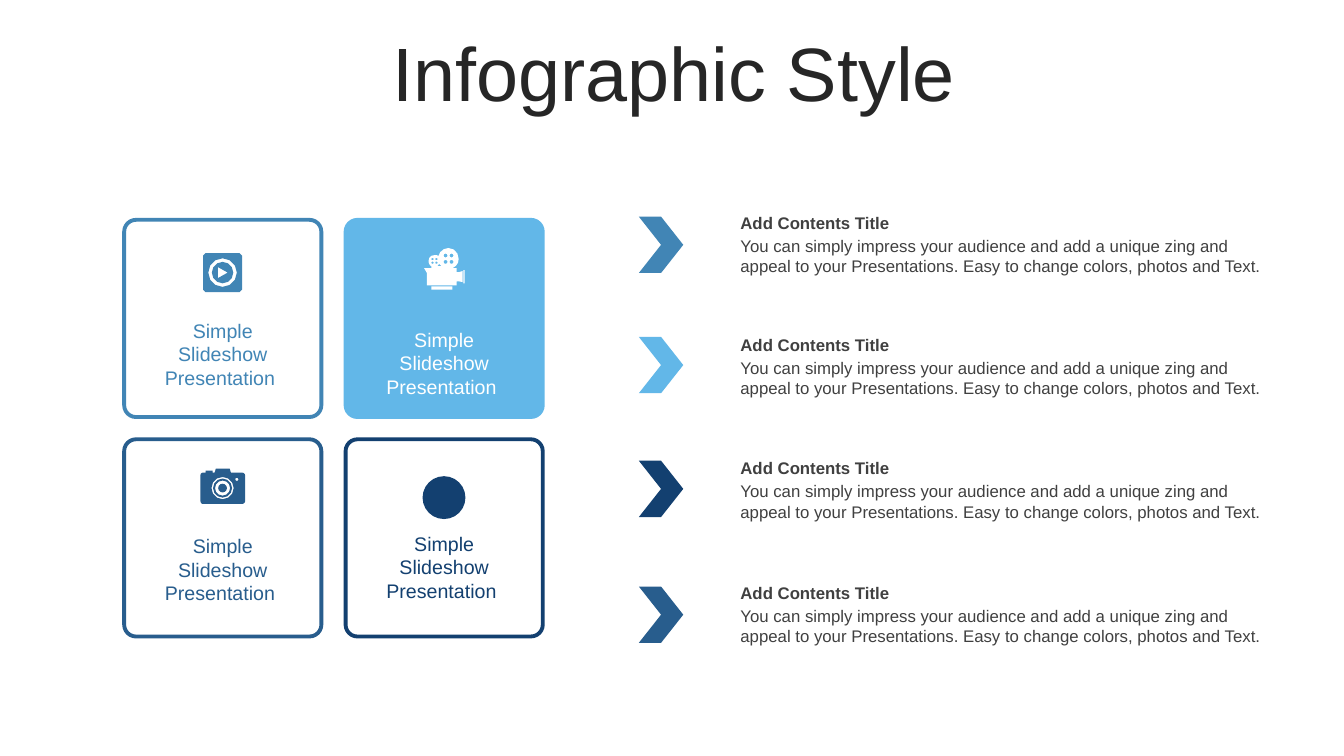
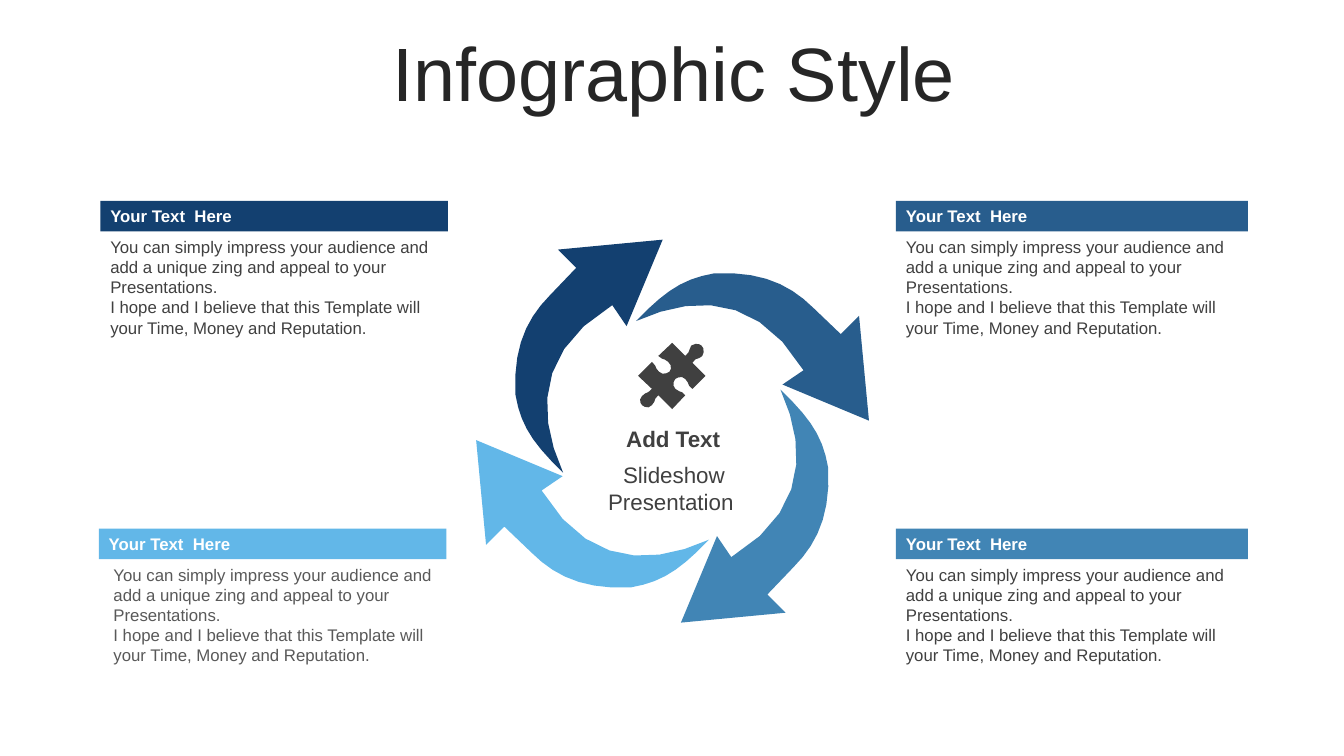
from dataclasses import dataclass
from math import cos, radians, sin

from pptx import Presentation
from pptx.dml.color import RGBColor
from pptx.enum.shapes import MSO_SHAPE
from pptx.enum.text import MSO_ANCHOR, MSO_AUTO_SIZE, PP_ALIGN
from pptx.shapes.autoshape import Shape
from pptx.slide import Slide
from pptx.text.text import TextFrame
from pptx.util import Cm, Pt

LEFT, CENTER = PP_ALIGN.LEFT, PP_ALIGN.CENTER
MIDDLE, NO_FIT = MSO_ANCHOR.MIDDLE, MSO_AUTO_SIZE.NONE
RECT, ROUND, OVAL, CHEVRON = (
    MSO_SHAPE.RECTANGLE, MSO_SHAPE.ROUNDED_RECTANGLE, MSO_SHAPE.OVAL, MSO_SHAPE.CHEVRON
)
FONT = "Arial"
NAVY, BLUE, STEEL, SKY = "134070", "285D8D", "4185B5", "62B7E8"
WHITE, BLACK, DARK, GRAY = "FFFFFF", "262626", "404040", "595959"
TITLE = "Infographic Style"
LABEL = "Simple Slideshow Presentation "
PITCH = "You can simply impress your audience and add a unique zing and appeal to your Presentations."
EASY = PITCH + " Easy to change colors, photos and Text."
HOPE = "I hope and I believe that this Template will your Time, Money and Reputation."

Point = tuple[float, float]
Loop = list[Point]


@dataclass
class Card:
    col: int
    row: int
    edge: str
    fill: str
    ink: str
    drop: float


@dataclass
class Item:
    mark: float
    top: float
    hue: str


@dataclass
class Arrow:
    tip: Point
    turn: int
    hue: str


@dataclass
class Panel:
    left: float
    top: float
    width: float
    hue: str
    inset: float = 0
    ink: str = DARK


CARDS = [
    Card(0, 0, STEEL, WHITE, STEEL, 2.36),
    Card(1, 0, SKY, SKY, WHITE, 2.59),
    Card(0, 1, BLUE, WHITE, BLUE, 2.27),
    Card(1, 1, NAVY, WHITE, NAVY, 2.2),
]
ITEMS = [
    Item(5.46, 5.23, STEEL),
    Item(8.49, 8.31, SKY),
    Item(11.61, 11.42, NAVY),
    Item(14.78, 14.55, BLUE),
]
ARROWS = [
    Arrow((21.9, 10.6), 0, BLUE),
    Arrow((17.16, 15.69), 90, STEEL),
    Arrow((12, 11.09), 180, SKY),
    Arrow((16.7, 6.04), 270, NAVY),
]
PANELS = [
    Panel(22.58, 5.06, 8.87, BLUE),
    Panel(22.58, 13.32, 8.87, STEEL),
    Panel(2.53, 5.06, 8.76, NAVY),
    Panel(2.49, 13.32, 8.76, SKY, 0.12, GRAY),
]
SWIRL = """M -0.25 -2.64 L 0 0 L -2.18 -0.91 L -1.65 -1.27
C -2.84 -3.23 -4.45 -3.15 -5.87 -2.51 C -5.13 -3.28 -4.67 -3.58 -3.91 -3.71
C -2.69 -3.78 -1.96 -3.4 -1.4 -2.84 L -0.71 -2.18"""
CAMERA = """M 5.44 11.81 L 5.79 11.81 L 5.82 11.91 L 6.1 11.91
C 6.15 11.91 6.18 11.94 6.18 11.99 L 6.18 12.62 C 6.18 12.66 6.15 12.7 6.1 12.7
L 5.11 12.7 C 5.08 12.7 5.05 12.66 5.05 12.62 L 5.05 11.99
C 5.05 11.94 5.08 11.91 5.11 11.91 L 5.18 11.91 L 5.18 11.86 L 5.36 11.86
L 5.36 11.91 L 5.41 11.91"""
MOVIE = """M 11.3 6.25 C 11.46 6.25 11.56 6.38 11.56 6.53
C 11.56 6.63 11.51 6.71 11.4 6.76 L 11.51 6.76 L 11.51 6.86 L 11.56 6.86
L 11.66 6.83 L 11.66 7.11 L 11.56 7.09 L 11.51 7.09 L 11.51 7.19 L 10.76 7.19
L 10.76 6.88 L 10.69 6.76 L 10.87 6.76 L 10.87 6.71
C 10.82 6.68 10.8 6.63 10.8 6.58 C 10.8 6.48 10.87 6.43 10.95 6.43
C 11 6.43 11.02 6.43 11.05 6.45 C 11.07 6.35 11.18 6.25 11.3 6.25"""
PUZZLE = """M 17.68 8.71 C 17.75 8.76 17.75 8.89 17.7 8.97
C 17.63 9.07 17.53 8.99 17.45 9.14 L 17.78 9.47 L 17.45 9.8
C 17.32 9.73 17.37 9.63 17.27 9.55 C 17.2 9.47 17.09 9.5 17.02 9.55
C 16.97 9.6 16.94 9.73 17.02 9.8 C 17.15 9.91 17.17 9.83 17.27 9.96
L 16.94 10.31 L 16.59 9.96 C 16.46 10.06 16.54 10.11 16.43 10.21
C 16.36 10.31 16.23 10.26 16.18 10.21 C 16.13 10.16 16.1 10.06 16.18 9.98
C 16.26 9.88 16.33 9.93 16.43 9.8 L 16.08 9.47 L 16.43 9.12
C 16.56 9.22 16.51 9.3 16.61 9.37 C 16.69 9.45 16.79 9.42 16.87 9.37
C 16.92 9.32 16.94 9.19 16.84 9.12 C 16.74 9.02 16.71 9.09 16.59 8.97
L 16.94 8.64 L 17.27 8.97 C 17.4 8.86 17.35 8.84 17.42 8.71
C 17.53 8.64 17.63 8.66 17.68 8.71"""


def tint(hue: str) -> RGBColor:
    return RGBColor.from_string(hue)


def curve(text: str, steps: int = 3) -> Loop:
    loop: Loop = []
    words = iter(text.split())
    for word in words:
        count = 3 if word == "C" else 1
        ends = [(float(next(words)), float(next(words))) for _ in range(count)]
        if count == 1:
            loop += ends
            continue
        knots = [loop[-1], *ends]
        for step in range(1, steps + 1):
            t = step / steps
            parts = ((1 - t) ** 3, 3 * t * (1 - t) ** 2, 3 * t * t * (1 - t), t ** 3)
            loop.append((
                sum(p * k[0] for p, k in zip(parts, knots)),
                sum(p * k[1] for p, k in zip(parts, knots)),
            ))
    return loop


def ring(x: float, y: float, r: float, count: int = 12) -> Loop:
    turns = [radians(360 * i / count) for i in range(count)]
    return [(x + r * cos(a), y + r * sin(a)) for a in turns]


def slab(x: float, y: float, w: float, h: float, cut: float = 0) -> Loop:
    far, low = x + w, y + h
    if not cut:
        return [(x, y), (far, y), (far, low), (x, low)]
    return [(x + cut, y), (far - cut, y), (far, y + cut), (far, low - cut),
            (far - cut, low), (x + cut, low), (x, low - cut), (x, y + cut)]


def spin(loop: Loop, tip: Point, turn: int) -> Loop:
    c, s = cos(radians(turn)), sin(radians(turn))
    return [(tip[0] + x * c - y * s, tip[1] + x * s + y * c) for x, y in loop]


def paint(shape: Shape, fill: str, edge: str = "") -> Shape:
    shape.shadow.inherit = False
    shape.fill.solid()
    shape.fill.fore_color.rgb = tint(fill)
    if edge:
        shape.line.color.rgb = tint(edge)
        shape.line.width = Pt(2.75)
    else:
        shape.line.fill.background()
    return shape


def block(slide: Slide, kind: int, x: float, y: float, w: float, h: float,
          fill: str, edge: str = "") -> Shape:
    shape = slide.shapes.add_shape(kind, Cm(x), Cm(y), Cm(w), Cm(h))
    return paint(shape, fill, edge)


def trace(slide: Slide, loops: list[Loop], fill: str) -> None:
    pen = None
    for loop in loops:
        dots = [(Cm(x), Cm(y)) for x, y in loop]
        if pen is None:
            pen = slide.shapes.build_freeform(*dots[0], scale=1.0)
        else:
            pen.move_to(*dots[0])
        pen.add_line_segments(dots[1:], close=True)
    paint(pen.convert_to_shape(), fill)


def write(frame: TextFrame, lines: list[str], size: int, hue: str,
          bold: bool = False, align: int = LEFT) -> None:
    frame.word_wrap = True
    for i, line in enumerate(lines):
        para = frame.add_paragraph() if i else frame.paragraphs[0]
        para.alignment = align
        run = para.add_run()
        run.text = line
        run.font.name = FONT
        run.font.size = Pt(size)
        run.font.bold = bold
        run.font.color.rgb = tint(hue)


def note(slide: Slide, x: float, y: float, w: float, h: float, lines: list[str],
         size: int, hue: str, bold: bool = False, align: int = LEFT) -> None:
    box = slide.shapes.add_textbox(Cm(x), Cm(y), Cm(w), Cm(h))
    write(box.text_frame, lines, size, hue, bold, align)


def start(deck: Presentation) -> Slide:
    slide = deck.slides.add_slide(deck.slide_layouts[5])
    head = slide.shapes.title
    head.left, head.top, head.width, head.height = Cm(0.9), Cm(0.94), Cm(32.16), Cm(2)
    frame = head.text_frame
    frame.auto_size = NO_FIT
    frame.vertical_anchor = MIDDLE
    write(frame, [TITLE], 54, BLACK, align=CENTER)
    frame.paragraphs[0].line_spacing = 0.9
    return slide


def icons(slide: Slide) -> None:
    play = [(5.49, 6.73), (5.74, 6.87), (5.49, 7.01)]
    trace(slide, [slab(5.12, 6.38, 0.98, 0.98, 0.06), ring(5.61, 6.87, 0.36),
                  ring(5.61, 6.87, 0.27), play], STEEL)
    holes = [ring(x, y, 0.05, 8) for x in (11.23, 11.38) for y in (6.44, 6.6)]
    holes += [ring(x, y, 0.03, 8) for x in (10.9, 11) for y in (6.53, 6.62)]
    notch = [(11.02, 6.71), (11.07, 6.65), (11.13, 6.71)]
    trace(slide, [curve(MOVIE), slab(10.87, 7.22, 0.53, 0.08),
                  slab(11.68, 6.81, 0.03, 0.33), notch, *holes], WHITE)
    lens = [ring(5.61, 12.3, r) for r in (0.28, 0.24, 0.19, 0.11)]
    trace(slide, [curve(CAMERA), *lens, ring(5.97, 12.08, 0.04, 8)], BLUE)
    block(slide, OVAL, 10.65, 12, 1.08, 1.08, NAVY)


def grid(deck: Presentation) -> None:
    slide = start(deck)
    for card in CARDS:
        x, y = 3.13 + 5.58 * card.col, 5.54 + 5.53 * card.row
        tile = block(slide, ROUND, x, y, 4.97, 4.97, card.fill, card.edge)
        tile.adjustments[0] = 0.06
        note(slide, x + 0.58, y + card.drop, 3.81, 2.06, [LABEL], 14, card.ink, align=CENTER)
    icons(slide)
    for item in ITEMS:
        block(slide, CHEVRON, 16.1, item.mark, 1.12, 1.42, item.hue)
        note(slide, 18.41, item.top + 0.58, 13.69, 1.27, [EASY], 12, DARK)
        note(slide, 18.41, item.top, 13.69, 0.76, ["Add Contents Title"], 12, DARK, True)


def cycle(deck: Presentation) -> None:
    slide = start(deck)
    shape = curve(SWIRL, 7)
    for arrow in ARROWS:
        trace(slide, [spin(shape, arrow.tip, arrow.turn)], arrow.hue)
    note(slide, 14.91, 10.59, 4.11, 0.94, ["Add Text"], 16, DARK, True, CENTER)
    note(slide, 14.93, 11.5, 4.11, 1.63, ["Slideshow Presentation "], 16, DARK, align=CENTER)
    for panel in PANELS:
        bar = block(slide, RECT, panel.left, panel.top, panel.width, 0.77, panel.hue)
        write(bar.text_frame, ["Your Text  Here"], 12, WHITE, True)
        note(slide, panel.left + panel.inset, panel.top + 0.78, panel.width, 2.82,
             [PITCH, HOPE], 12, panel.ink)
    trace(slide, [curve(PUZZLE)], DARK)


def main() -> None:
    deck = Presentation()
    deck.slide_width, deck.slide_height = Cm(33.87), Cm(19.05)
    grid(deck)
    cycle(deck)
    deck.save("out.pptx")


if __name__ == "__main__":
    main()
